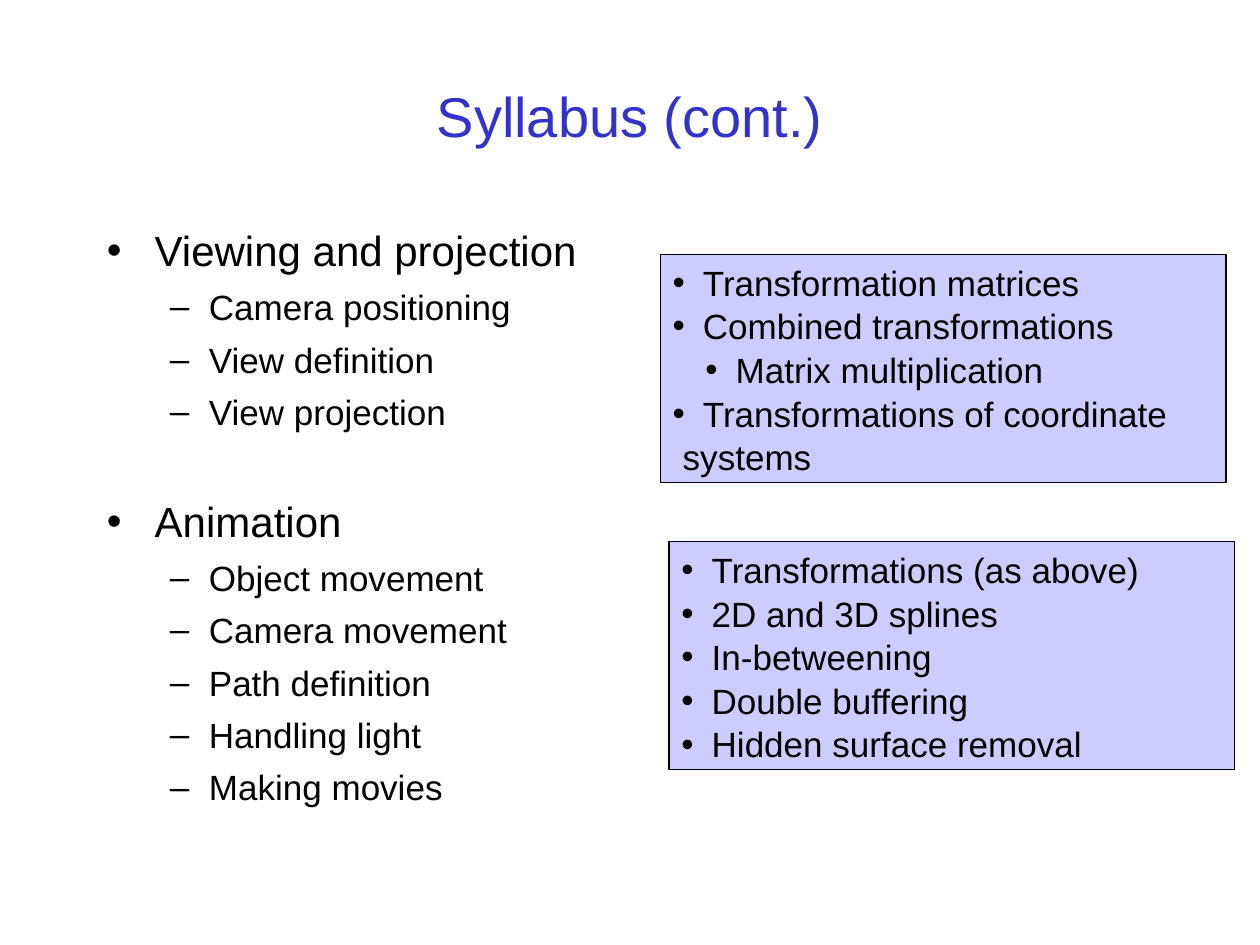
"""Build the continued syllabus slide: topics on the left, techniques in boxes on the right."""
import pptx
import pptx.dml.color
import pptx.enum.shapes
import pptx.enum.text
import pptx.oxml
import pptx.oxml.ns
import pptx.util
from pptx.util import Inches

COLORS = {"title": "3333CC", "text": "000000", "panel": "CCCCFF"}
LINE_SPACING = 1.045


def color(name):
    """Return a named colour of the slide."""
    return pptx.dml.color.RGBColor.from_string(COLORS[name])


def add_line(frame, text, size, tone="text", bullet=None, margin=0, hang=0, before=0, level=0):
    """Add one paragraph to a text frame, using the empty first one if it is free."""
    para = frame.paragraphs[0] if not frame.paragraphs[0].runs else frame.add_paragraph()
    para.alignment = pptx.enum.text.PP_ALIGN.LEFT
    para.level = level
    para.line_spacing = LINE_SPACING
    para.space_before = pptx.util.Pt(before)
    span = para.add_run()
    span.text = text
    span.font.name = "Arial"
    span.font.size = pptx.util.Pt(size)
    span.font.color.rgb = color(tone)
    properties = para._p.get_or_add_pPr()
    properties.set("marL", str(Inches(margin)))
    properties.set("indent", str(Inches(-hang)))
    if bullet:
        namespace = pptx.oxml.ns.nsdecls("a")
        properties.append(pptx.oxml.parse_xml(f'<a:buFont {namespace} typeface="Arial"/>'))
        properties.append(pptx.oxml.parse_xml(f'<a:buChar {namespace} char="{bullet}"/>'))
    return para


deck = pptx.Presentation()
deck.slide_width = Inches(10)
deck.slide_height = Inches(7.5)
page = deck.slides.add_slide(deck.slide_layouts[6])

title = page.shapes.add_textbox(Inches(0.75), Inches(0.28), Inches(8.5), Inches(1.25)).text_frame
title.word_wrap = True
title.vertical_anchor = pptx.enum.text.MSO_ANCHOR.MIDDLE
heading = add_line(title, "Syllabus (cont.)", 32, "title")
heading.alignment = pptx.enum.text.PP_ALIGN.CENTER

topics = [
    ("Viewing and projection", 6, ["Camera positioning", "View definition", "View projection"]),
    ("Animation", 35, ["Object movement", "Camera movement", "Path definition",
                       "Handling light", "Making movies"]),
]
body = page.shapes.add_textbox(Inches(0.75), Inches(1.72), Inches(8.5), Inches(5.43)).text_frame
body.word_wrap = True
for topic, gap, details in topics:
    add_line(body, topic, 24, bullet="•", margin=0.38, hang=0.38, before=gap)
    for detail in details:
        add_line(body, detail, 20, bullet="–", margin=0.81, hang=0.31, before=5, level=1)

main = {"bullet": "•", "margin": 0.24, "hang": 0.24}
nested = {"bullet": "•", "margin": 0.5, "hang": 0.24, "level": 1}
continued = {"margin": 0.08}
panels = [
    (5.24, 2.02, [
        ("Transformation matrices", main),
        ("Combined transformations", main),
        ("Matrix multiplication", nested),
        ("Transformations of coordinate", main),
        ("systems", continued),
    ]),
    (5.31, 4.3, [
        ("Transformations (as above)", main),
        ("2D and 3D splines", main),
        ("In-betweening", main),
        ("Double buffering", main),
        ("Hidden surface removal", main),
    ]),
]
for left, top, lines in panels:
    box = page.shapes.add_shape(pptx.enum.shapes.MSO_SHAPE.RECTANGLE,
                                Inches(left), Inches(top), Inches(4.49), Inches(1.81))
    box.shadow.inherit = False
    box.fill.solid()
    box.fill.fore_color.rgb = color("panel")
    box.line.color.rgb = color("text")
    box.line.width = pptx.util.Pt(0.75)
    box.text_frame.word_wrap = True
    box.text_frame.vertical_anchor = pptx.enum.text.MSO_ANCHOR.MIDDLE
    for text, style in lines:
        add_line(box.text_frame, text, 20, **style)

deck.save("out.pptx")
